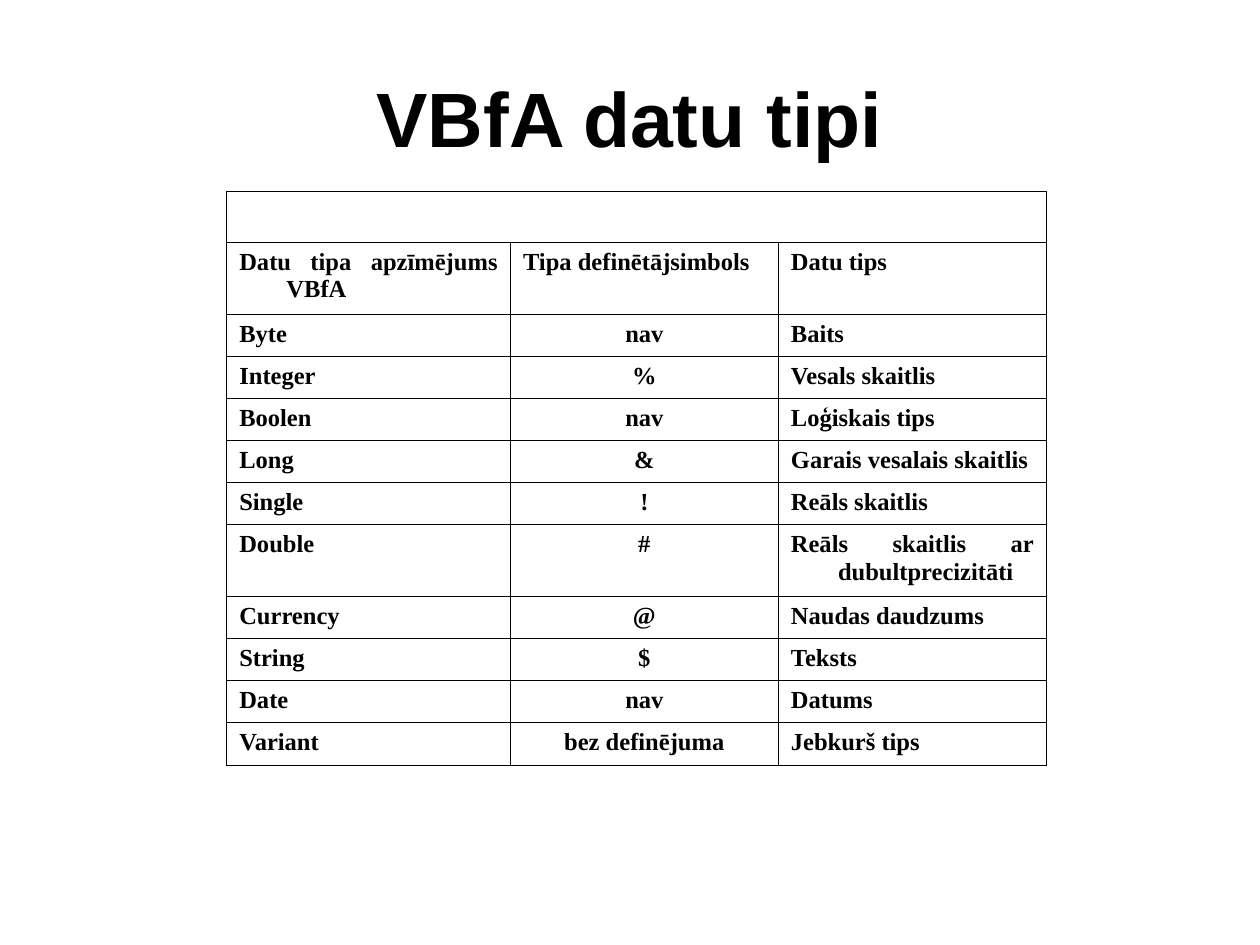
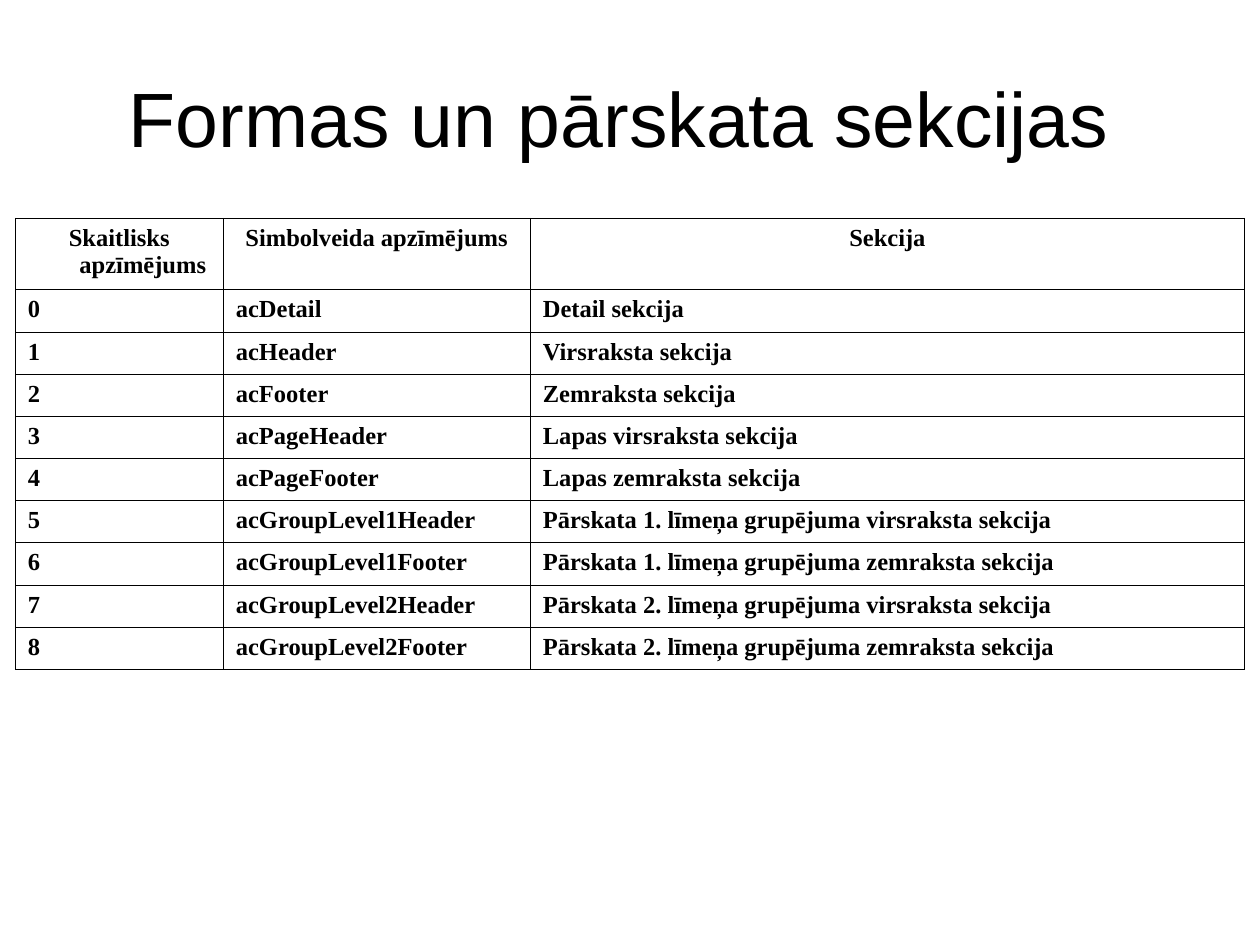
from lxml.etree import SubElement
from pptx import Presentation
from pptx.dml.color import RGBColor
from pptx.enum.text import MSO_ANCHOR, PP_ALIGN as Align
from pptx.oxml.ns import qn
from pptx.util import Cm, Pt

BLACK = RGBColor(0x00, 0x00, 0x00)
TITLE_FONT, TABLE_FONT = "Arial", "Times New Roman"
TITLE_BOX = (1.27, 0.76, 22.86, 3.18)
BLANK_ROW, LINE_ROW, WRAP_ROW = 1.01, 0.85, 1.44
HANGING = 0.95
BORDER = Pt(0.45)

TYPE_ROWS = [
    ("", "", ""),
    ("Datu tipa apzīmējums VBfA", "Tipa definētājsimbols", "Datu tips"),
    ("Byte", "nav", "Baits"),
    ("Integer", "%", "Vesals skaitlis"),
    ("Boolen", "nav", "Loģiskais tips"),
    ("Long", "&", "Garais vesalais skaitlis"),
    ("Single", "!", "Reāls skaitlis"),
    ("Double", "#", "Reāls skaitlis ar dubultprecizitāti"),
    ("Currency", "@", "Naudas daudzums"),
    ("String", "$", "Teksts"),
    ("Date", "nav", "Datums"),
    ("Variant", "bez definējuma", "Jebkurš tips"),
]
SECTION_ROWS = [
    ("Skaitlisks apzīmējums", "Simbolveida apzīmējums", "Sekcija"),
    ("0", "acDetail", "Detail sekcija"),
    ("1", "acHeader", "Virsraksta sekcija"),
    ("2", "acFooter", "Zemraksta sekcija"),
    ("3", "acPageHeader", "Lapas virsraksta sekcija"),
    ("4", "acPageFooter", "Lapas zemraksta sekcija"),
    ("5", "acGroupLevel1Header", "Pārskata 1. līmeņa grupējuma virsraksta sekcija"),
    ("6", "acGroupLevel1Footer", "Pārskata 1. līmeņa grupējuma zemraksta sekcija"),
    ("7", "acGroupLevel2Header", "Pārskata 2. līmeņa grupējuma virsraksta sekcija"),
    ("8", "acGroupLevel2Footer", "Pārskata 2. līmeņa grupējuma zemraksta sekcija"),
]


def set_font(p, name, size, bold):
    """Give a paragraph its black font."""
    font = p.font
    font.name, font.size, font.bold = name, Pt(size), bold
    font.color.rgb = BLACK


def add_title(s, text, box, bold):
    """Place the centred slide title in its box."""
    tf = s.shapes.add_textbox(*map(Cm, box)).text_frame
    tf.word_wrap = True
    tf.vertical_anchor = MSO_ANCHOR.MIDDLE
    p = tf.paragraphs[0]
    p.text = text
    p.alignment = Align.CENTER
    set_font(p, TITLE_FONT, 44, bold)


def set_borders(cell):
    """Draw a thin black line on all four sides of a cell."""
    tc_pr = cell._tc.get_or_add_tcPr()
    for i, side in enumerate(("lnL", "lnR", "lnT", "lnB")):
        ln = SubElement(tc_pr, qn(f"a:{side}"), w=str(BORDER))
        fill = SubElement(ln, qn("a:solidFill"))
        SubElement(fill, qn("a:srgbClr"), val=str(BLACK))
        tc_pr.insert(i, ln)


def fill_cell(cell, text, align):
    """Write one bold entry with a hanging indent."""
    p = cell.text_frame.paragraphs[0]
    p.text = text
    p.alignment = align
    p_pr = p._p.get_or_add_pPr()
    p_pr.set("marL", str(Cm(HANGING)))
    p_pr.set("indent", str(-Cm(HANGING)))
    set_font(p, TABLE_FONT, 14, True)


def add_grid(s, rows, left, top, widths, heights, head_aligns, aligns, head_row=0):
    """Place a ruled table; rows above the header row become one empty band."""
    shape = s.shapes.add_table(len(rows), len(widths), Cm(left), Cm(top),
                               Cm(sum(widths)), Cm(sum(heights)))
    table = shape.table
    table.first_row = table.horz_banding = False
    for col, width in zip(table.columns, widths):
        col.width = Cm(width)
    for i, (row, height, texts) in enumerate(zip(table.rows, heights, rows)):
        row.height = Cm(height)
        row_aligns = head_aligns if i == head_row else aligns
        for cell, text, align in zip(row.cells, texts, row_aligns):
            cell.fill.background()
            set_borders(cell)
            if text:
                fill_cell(cell, text, align)
        if i < head_row:
            table.cell(i, 0).merge(table.cell(i, len(widths) - 1))


def data_types_slide(prs):
    """Build the slide that lists the data types."""
    s = prs.slides.add_slide(prs.slide_layouts[6])
    heights = [BLANK_ROW, WRAP_ROW] + [LINE_ROW] * 5 + [WRAP_ROW] + [LINE_ROW] * 4
    add_grid(s, TYPE_ROWS, 4.57, 3.86, (5.72, 5.4, 5.4), heights,
             [Align.JUSTIFY] * 3, [Align.LEFT, Align.CENTER, Align.JUSTIFY], head_row=1)
    add_title(s, "VBfA datu tipi", TITLE_BOX, True)


def sections_slide(prs):
    """Build the slide that lists form and report sections."""
    s = prs.slides.add_slide(prs.slide_layouts[6])
    heights = [WRAP_ROW] + [LINE_ROW] * 9
    add_grid(s, SECTION_ROWS, 0.31, 4.4, (4.19, 6.19, 14.4), heights,
             [Align.CENTER] * 3, [Align.LEFT] * 3)
    add_title(s, "Formas un pārskata sekcijas ", TITLE_BOX, False)


def main():
    """Build and save the presentation."""
    prs = Presentation()
    prs.slide_width, prs.slide_height = Cm(25.4), Cm(19.05)
    data_types_slide(prs)
    sections_slide(prs)
    prs.save("out.pptx")


if __name__ == "__main__":
    main()
